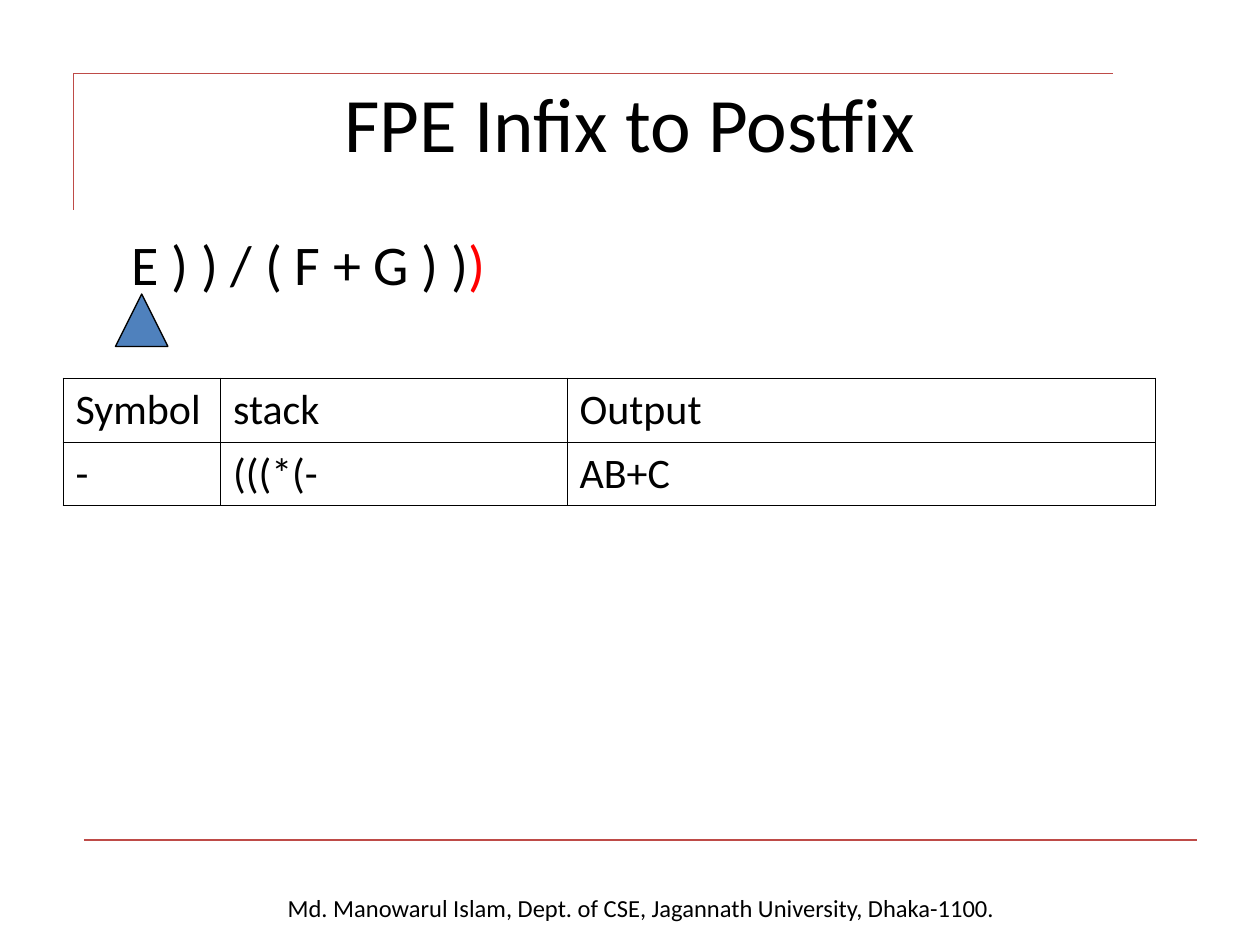
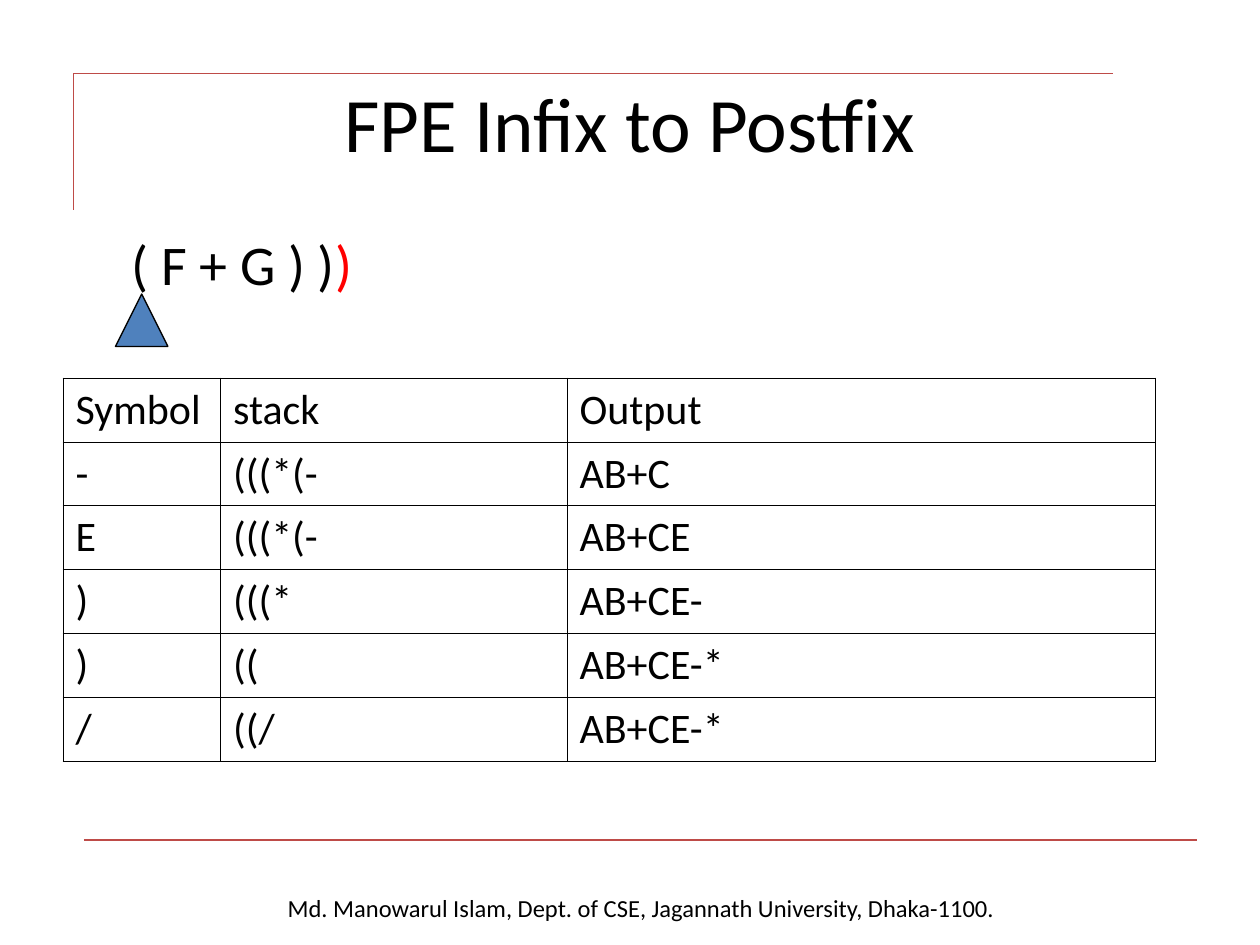
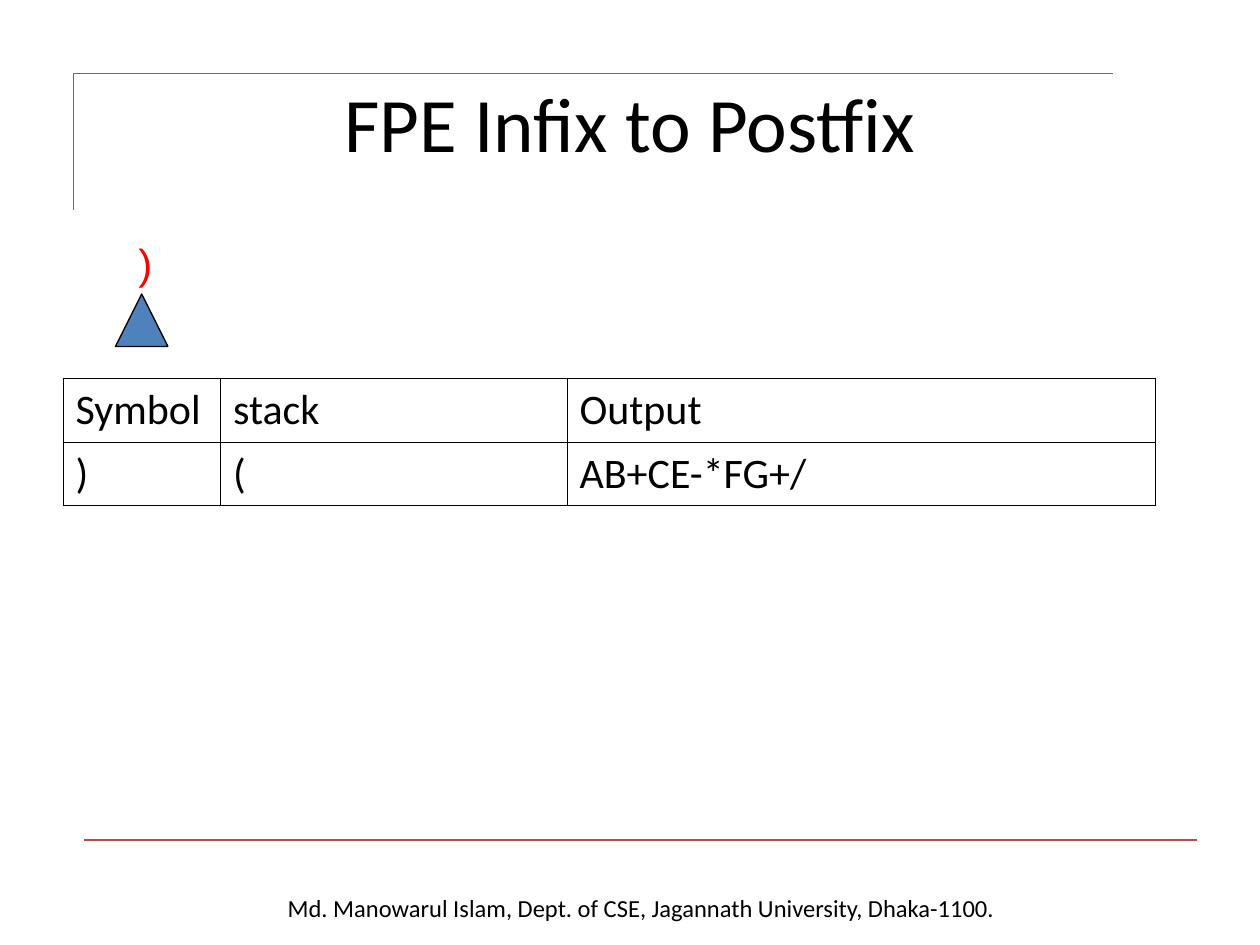
import dataclasses

import pptx
import pptx.dml.color
import pptx.enum.shapes
import pptx.enum.text
import pptx.oxml.xmlchemy
import pptx.util

TITLE_AND_BODY, TITLE_ONLY = 1, 5
Pt = pptx.util.Pt
ALIGN = pptx.enum.text.PP_ALIGN
ANCHOR = pptx.enum.text.MSO_ANCHOR


@dataclasses.dataclass(frozen=True)
class Theme:
    text: str = "000000"
    end_marker: str = "FF0000"
    rule: str = "BE4B48"
    pointer: str = "4F81BD"
    font: str = "Calibri"
    marker_font: str = "Arial"
    title_size: float = 44
    expression_size: float = 32
    table_size: float = 24
    footer_size: float = 14
    line_width: float = 0.75
    border_width: float = 0.45


def rgb(color):
    return pptx.dml.color.RGBColor.from_string(color)


def points(*lengths):
    return [Pt(length) for length in lengths]


def add_xml(parent, tag, **attributes):
    child = pptx.oxml.xmlchemy.OxmlElement(tag)
    for key, value in attributes.items():
        child.set(key, str(value))
    parent.append(child)
    return child


class Deck:
    def __init__(self, theme):
        self.theme = theme
        self.presentation = pptx.Presentation()
        self.presentation.slide_width = Pt(720)
        self.presentation.slide_height = Pt(540)
        self.slide = None

    def new_slide(self, layout):
        self.slide = self.presentation.slides.add_slide(
            self.presentation.slide_layouts[layout])

    def place(self, shape, left, top, width, height):
        shape.left, shape.top, shape.width, shape.height = points(left, top, width, height)

    def style_run(self, run, size, color=None, font=None):
        run.font.size = Pt(size)
        run.font.name = font or self.theme.font
        run.font.color.rgb = rgb(color or self.theme.text)

    def move_to_master(self, shape):
        master_tree = self.presentation.slide_master.shapes.element
        used = [int(value) for value in master_tree.xpath(".//p:cNvPr/@id")]
        shape.element.xpath("./*/p:cNvPr")[0].set("id", str(max(used) + 1))
        master_tree.append(shape.element)

    def rule(self, *ends):
        line = self.slide.shapes.add_connector(
            pptx.enum.shapes.MSO_CONNECTOR.STRAIGHT, *points(*ends))
        line.line.color.rgb = rgb(self.theme.rule)
        line.line.width = Pt(self.theme.line_width)
        add_xml(line.element.spPr, "a:effectLst")
        return line

    def text(self, wording, box, size, color=None, font=None, align=ALIGN.LEFT, wrap=True):
        label = self.slide.shapes.add_textbox(*points(*box))
        label.text_frame.word_wrap = wrap
        label.text_frame.text = wording
        paragraph = label.text_frame.paragraphs[0]
        paragraph.alignment = align
        self.style_run(paragraph.runs[0], size, color, font)
        return label

    def title(self, wording):
        heading = self.slide.shapes.title
        self.place(heading, 36, 24.5, 648, 90)
        frame = heading.text_frame
        frame.text = wording
        frame.auto_size = pptx.enum.text.MSO_AUTO_SIZE.NONE
        frame.vertical_anchor = ANCHOR.MIDDLE
        frame.paragraphs[0].alignment = ALIGN.CENTER
        self.style_run(frame.paragraphs[0].runs[0], self.theme.title_size)

    def expression(self, remaining):
        """Show the unread input, followed by the closing end marker."""
        body = self.slide.placeholders[1]
        self.place(body, 36, 126, 648, 356.4)
        frame = body.text_frame
        frame.auto_size = pptx.enum.text.MSO_AUTO_SIZE.NONE
        frame.vertical_anchor = ANCHOR.TOP
        frame.margin_top = Pt(5)
        frame.text = remaining
        paragraph = frame.paragraphs[0]
        paragraph.space_before = Pt(0)
        paragraph.add_run().text = ")"
        for run, color in zip(paragraph.runs, (self.theme.text, self.theme.end_marker)):
            self.style_run(run, self.theme.expression_size, color)
        properties = paragraph._p.get_or_add_pPr()
        properties.set("marL", str(Pt(32)))
        properties.set("indent", "0")
        add_xml(properties, "a:buNone")

    def pointer(self):
        triangle = self.slide.shapes.add_shape(
            pptx.enum.shapes.MSO_SHAPE.ISOSCELES_TRIANGLE, *points(66, 168, 30, 30))
        triangle.shadow.inherit = False
        triangle.fill.solid()
        triangle.fill.fore_color.rgb = rgb(self.theme.pointer)
        triangle.line.color.rgb = rgb(self.theme.text)
        triangle.line.width = Pt(self.theme.line_width)

    def border(self, cell):
        properties = cell._tc.get_or_add_tcPr()
        for position, side in enumerate("LRTB"):
            edge = pptx.oxml.xmlchemy.OxmlElement(f"a:ln{side}")
            edge.set("w", str(Pt(self.theme.border_width)))
            fill = add_xml(edge, "a:solidFill")
            add_xml(fill, "a:srgbClr", val=self.theme.text)
            properties.insert(position, edge)

    def trace_table(self, steps):
        rows = [("Symbol", "stack", "Output"), *steps]
        widths, row_height = (90, 198, 336), 36.45
        table = self.slide.shapes.add_table(
            len(rows), len(widths),
            *points(36, 216, sum(widths), row_height * len(rows))).table
        table.first_row = table.horz_banding = False
        for column, width in zip(table.columns, widths):
            column.width = Pt(width)
        for row, wordings in zip(table.rows, rows):
            row.height = Pt(row_height)
            for cell, wording in zip(row.cells, wordings):
                cell.text_frame.text = wording
                self.style_run(cell.text_frame.paragraphs[0].runs[0], self.theme.table_size)
                cell.fill.background()
                self.border(cell)

    def build_master(self):
        """Draw the rules and footer on the current slide and hand them to the master."""
        footer = self.text(
            "Md. Manowarul Islam, Dept. of CSE, Jagannath University, Dhaka-1100.",
            (27.4, 507, 678, 24.5), self.theme.footer_size, align=ALIGN.CENTER)
        rules = [self.rule(*ends) for ends in (
            (42, 42, 42, 120), (42, 42, 636, 42), (48, 480, 684, 480))]
        for shape in (footer, *rules):
            self.move_to_master(shape)


def main():
    theme = Theme()
    deck = Deck(theme)
    first_step = ("-", "(((*(-", "AB+C")
    stages = [
        ("E ) ) / ( F + G ) )", [first_step]),
        ("( F + G ) )", [
            first_step,
            ("E", "(((*(-", "AB+CE"),
            (")", "(((*", "AB+CE-"),
            (")", "((", "AB+CE-*"),
            ("/", "((/", "AB+CE-*"),
        ]),
        (None, [(")", "(", "AB+CE-*FG+/")]),
    ]
    for number, (remaining, steps) in enumerate(stages):
        deck.new_slide(TITLE_AND_BODY if remaining else TITLE_ONLY)
        if number == 0:
            deck.build_master()
        deck.title("FPE Infix to Postfix")
        if remaining:
            deck.expression(remaining)
        deck.pointer()
        deck.trace_table(steps)
        if not remaining:
            deck.text(")", (72, 132, 22.3, 36), theme.table_size,
                      theme.end_marker, theme.marker_font, wrap=False)
    deck.presentation.save("out.pptx")


if __name__ == "__main__":
    main()
